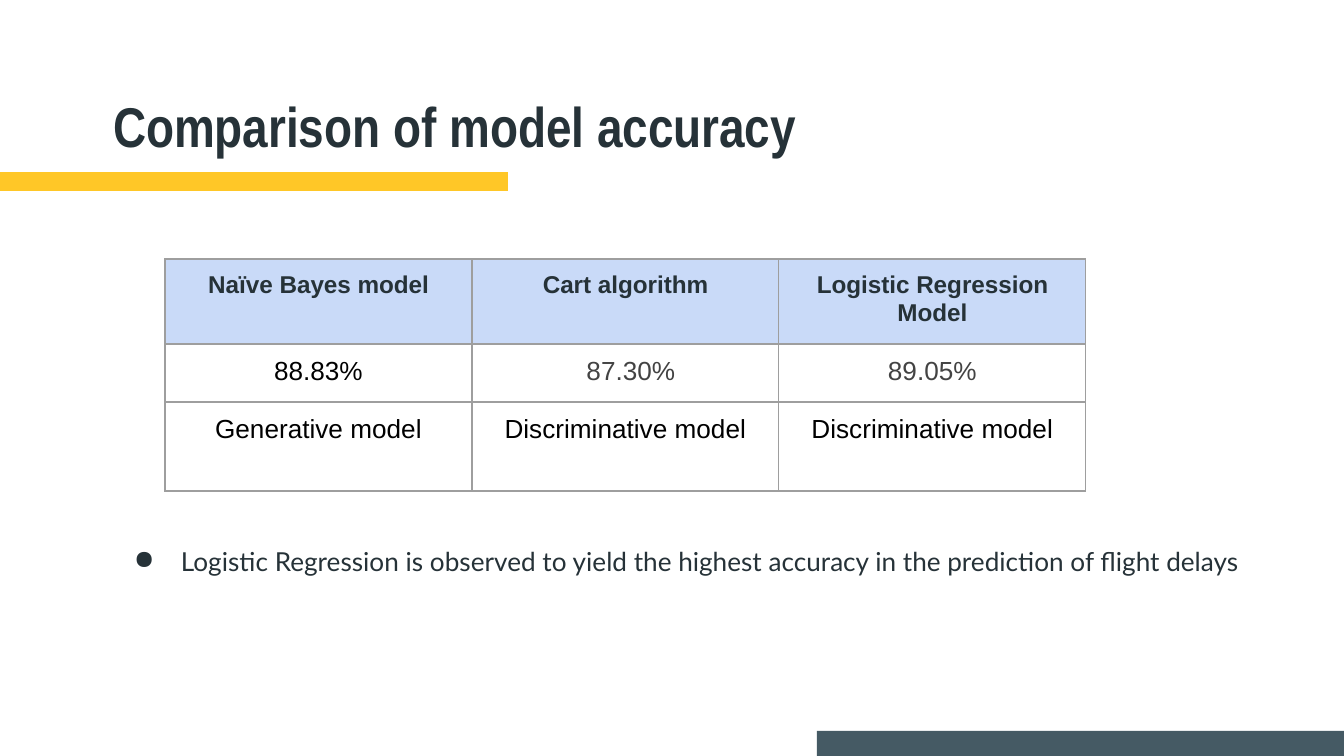
from lxml import etree
from pptx import Presentation
from pptx import util as u
from pptx.dml.color import RGBColor
from pptx.enum import shapes, text
from pptx.oxml import ns

INK = RGBColor(0x26, 0x32, 0x38)
BLACK = RGBColor(0x00, 0x00, 0x00)
GREY = RGBColor(0x43, 0x43, 0x43)
YELLOW = RGBColor(0xFF, 0xC7, 0x27)
SLATE = RGBColor(0x45, 0x5A, 0x64)
PALE_BLUE = RGBColor(0xC9, 0xDA, 0xF8)
BORDER = RGBColor(0x9E, 0x9E, 0x9E)

PX_PER_INCH = 134.4


def px(length):
    return u.Inches(length / PX_PER_INCH)


def add_xml(parent, tag, **attributes):
    return etree.SubElement(parent, ns.qn(tag), attributes)


class SlideBuilder:
    inset = 13
    border_width = u.Pt(0.75)

    def __init__(self, slide):
        self.slide = slide

    def format_text(self, holder, font, size, color, bold=False):
        for side in ("left", "top", "right", "bottom"):
            setattr(holder, f"margin_{side}", px(self.inset))
        paragraph = holder.text_frame.paragraphs[0]
        for run in paragraph.runs:
            run.font.name = font
            run.font.size = u.Pt(size)
            run.font.bold = bold
            run.font.color.rgb = color
        return paragraph

    def format_frame(self, shape, *style):
        frame = shape.text_frame
        frame.word_wrap = True
        frame.auto_size = text.MSO_AUTO_SIZE.NONE
        frame.vertical_anchor = text.MSO_ANCHOR.MIDDLE
        for side in ("left", "top", "right", "bottom"):
            setattr(frame, f"margin_{side}", px(self.inset))
        paragraph = frame.paragraphs[0]
        paragraph.alignment = text.PP_ALIGN.LEFT
        for run in paragraph.runs:
            self.format_run(run, *style)
        return paragraph

    def format_run(self, run, font, size, color, bold=False):
        run.font.name = font
        run.font.size = u.Pt(size)
        run.font.color.rgb = color
        run.font.bold = bold

    def title(self, words, left, top, width, height):
        heading = self.slide.shapes.title
        heading.left, heading.top = px(left), px(top)
        heading.width, heading.height = px(width), px(height)
        heading.text_frame.text = words
        self.format_frame(heading, "Arial Narrow", 30, INK, True)

    def bar(self, color, left, top, width, height):
        stripe = self.slide.shapes.add_shape(
            shapes.MSO_SHAPE.RECTANGLE, px(left), px(top), px(width), px(height))
        stripe.shadow.inherit = False
        stripe.fill.solid()
        stripe.fill.fore_color.rgb = color
        stripe.line.fill.background()

    def bullet(self, words, left, top, width, height):
        remark = self.slide.shapes.add_textbox(px(left), px(top), px(width), px(height))
        remark.text_frame.text = words
        paragraph = self.format_frame(remark, "Lato", 14, INK)
        properties = paragraph._p.get_or_add_pPr()
        properties.set("marL", str(px(67)))
        properties.set("indent", str(-px(47)))
        bullet_color = add_xml(properties, "a:buClr")
        add_xml(bullet_color, "a:srgbClr", val=str(INK))
        add_xml(properties, "a:buChar", char="●")

    def table(self, rows, heights, left, top, column_width):
        columns = len(rows[0])
        frame = self.slide.shapes.add_table(
            len(rows), columns, px(left), px(top),
            px(column_width * columns), px(sum(heights)))
        grid = frame.table
        grid.first_row = grid.horz_banding = False
        for column in grid.columns:
            column.width = px(column_width)
        for row, height, entries in zip(grid.rows, heights, rows):
            row.height = px(height)
            for cell, entry in zip(row.cells, entries):
                self.cell(cell, *entry)
        return grid

    def cell(self, cell, words, color, size, space_before=0, bold=False, fill=None):
        cell.text_frame.text = words
        paragraph = self.format_text(cell, "Arial", size, color, bold)
        paragraph.alignment = text.PP_ALIGN.CENTER
        paragraph.space_before = u.Pt(space_before)
        properties = cell._tc.get_or_add_tcPr()
        for side in "LRTB":
            line = add_xml(properties, f"a:ln{side}", w=str(self.border_width))
            add_xml(add_xml(line, "a:solidFill"), "a:srgbClr", val=str(BORDER))
        if fill is None:
            cell.fill.background()
        else:
            cell.fill.solid()
            cell.fill.fore_color.rgb = fill


def main():
    deck = Presentation()
    deck.slide_width, deck.slide_height = px(1344), px(756)
    builder = SlideBuilder(deck.slides.add_slide(deck.slide_layouts[5]))

    builder.title("Comparison of model accuracy", 100, 78, 1145, 95)
    builder.bar(YELLOW, 0, 172, 508, 19)

    models = ["Naïve Bayes model", "Cart algorithm", "Logistic Regression Model"]
    accuracies = [("88.83%", BLACK, 14), ("87.30%", GREY, 14, 6), ("89.05%", GREY, 14, 6)]
    kinds = ["Generative model", "Discriminative model", "Discriminative model"]
    comparison = builder.table(
        [[(model, INK, 13, 2, True, PALE_BLUE) for model in models],
         accuracies,
         [(kind, BLACK, 14) for kind in kinds]],
        [85, 58, 89], 165, 259, 307)
    cart_accuracy = comparison.cell(1, 1).text_frame.paragraphs[0]
    cart_accuracy._p.get_or_add_pPr().set("marL", str(px(11)))

    builder.bullet(
        "Logistic Regression is observed to yield the highest accuracy"
        " in the prediction of flight delays", 101, 507, 1168, 109)
    builder.bar(SLATE, 817, 731, 527, 25)
    deck.save("out.pptx")


if __name__ == "__main__":
    main()
